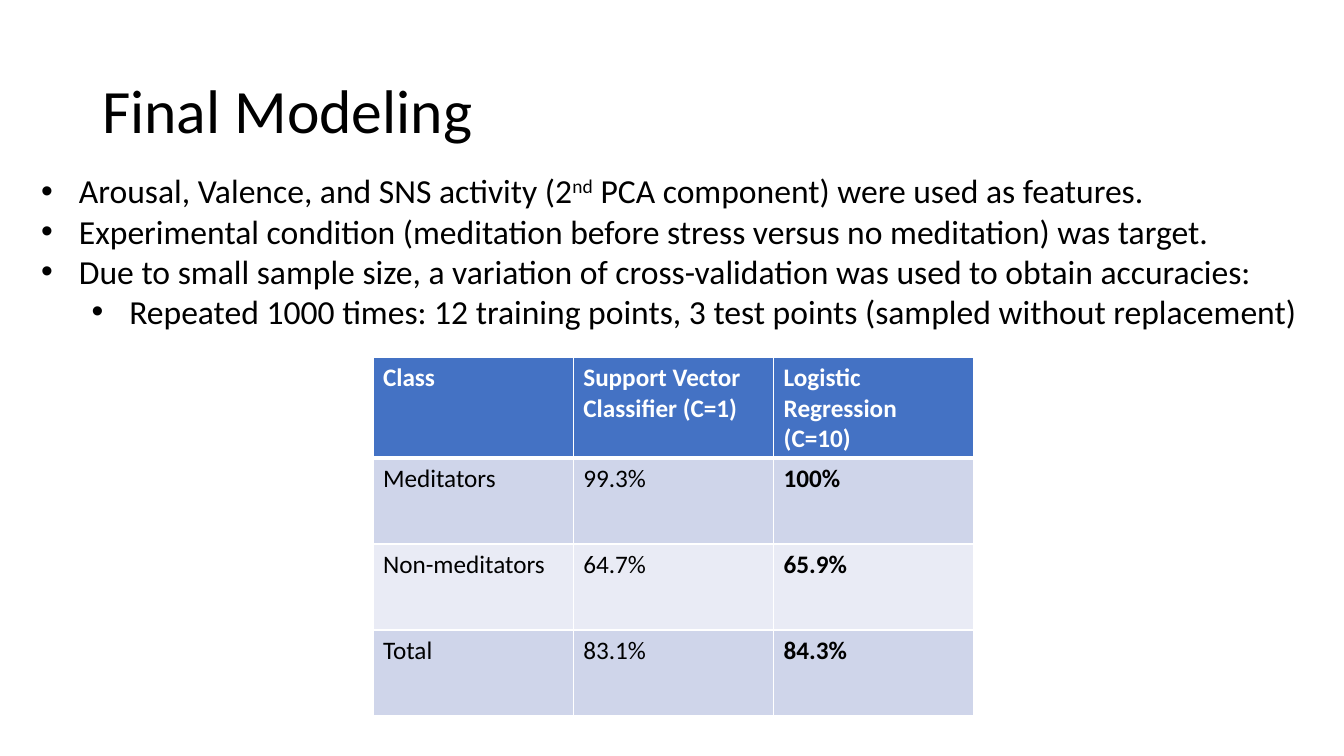
from lxml import etree
from pptx import Presentation
from pptx import util as u
from pptx.dml.color import RGBColor
from pptx.enum import text
from pptx.oxml.ns import qn

FONT = "Calibri"
COLORS = {
    "ink": "000000",
    "white": "FFFFFF",
    "header": "4472C4",
    "odd": "CFD5EA",
    "even": "E9EBF5",
}
BULLETS = [
    (0, [("Arousal, Valence, and SNS activity (2", False), ("nd", True),
         (" PCA component) were used as features.", False)]),
    (0, [("Experimental condition (meditation before stress versus no meditation) was target.", False)]),
    (0, [("Due to small sample size, a variation of cross-validation was used to obtain accuracies:", False)]),
    (1, [("Repeated 1000 times: 12 training points, 3 test points (sampled without replacement)", False)]),
]
ACCURACIES = [
    ("Class", "Support Vector Classifier (C=1)", "Logistic Regression (C=10)"),
    ("Meditators", "99.3%", "100%"),
    ("Non-meditators", "64.7%", "65.9%"),
    ("Total", "83.1%", "84.3%"),
]


def style(para, size, color, bold=False):
    """Set the font of a whole paragraph."""
    para.font.name = FONT
    para.font.size = u.Pt(size)
    para.font.bold = bold
    para.font.color.rgb = RGBColor.from_string(COLORS[color])


def add_frame(page, box):
    """Add a wrapping text box and return its text frame."""
    frame = page.shapes.add_textbox(*map(u.Pt, box)).text_frame
    frame.word_wrap = True
    return frame


def set_bullet(para, level):
    """Give a paragraph a hanging round bullet for its level."""
    para.level = level
    props = para._p.get_or_add_pPr()
    props.set("marL", str(u.Pt(27 + 36 * level)))
    props.set("indent", str(u.Pt(-27)))
    etree.SubElement(props, qn("a:buFont"), typeface="Arial")
    etree.SubElement(props, qn("a:buChar"), char="•")


def set_borders(cell, top, bottom):
    """Draw white borders around a cell, one point wide at the sides."""
    props = cell._tc.get_or_add_tcPr()
    for side, width in (("L", 1), ("R", 1), ("T", top), ("B", bottom)):
        line = etree.SubElement(props, qn(f"a:ln{side}"), w=str(u.Pt(width)))
        fill = etree.SubElement(line, qn("a:solidFill"))
        etree.SubElement(fill, qn("a:srgbClr"), val=COLORS["white"])


def add_title(page, box, title):
    """Place the slide title, centred vertically in its box."""
    frame = add_frame(page, box)
    frame.vertical_anchor = text.MSO_ANCHOR.MIDDLE
    para = frame.paragraphs[0]
    para.text = title
    para.line_spacing = 0.9
    style(para, 44, "ink")


def add_bullets(page, box, bullets):
    """Place the bulleted notes on the method."""
    frame = add_frame(page, box)
    for index, (level, spans) in enumerate(bullets):
        para = frame.add_paragraph() if index else frame.paragraphs[0]
        set_bullet(para, level)
        style(para, 24, "ink")
        for words, raised in spans:
            span = para.add_run()
            span.text = words
            if raised:
                span.font._element.set("baseline", "30000")


def add_accuracies(page, box, rows):
    """Place the accuracy table with a header row and banded body."""
    table = page.shapes.add_table(len(rows), len(rows[0]), *map(u.Pt, box)).table
    for row_index, row in enumerate(rows):
        header = row_index == 0
        band = "header" if header else "odd" if row_index % 2 else "even"
        for column_index, words in enumerate(row):
            cell = table.cell(row_index, column_index)
            set_borders(cell, 3 if row_index == 1 else 1, 3 if header else 1)
            cell.fill.solid()
            cell.fill.fore_color.rgb = RGBColor.from_string(COLORS[band])
            cell.text = words
            style(cell.text_frame.paragraphs[0], 18, "white" if header else "ink",
                  header or column_index == len(row) - 1)


def main():
    """Build the slide and save the deck."""
    deck = Presentation()
    deck.slide_width, deck.slide_height = u.Pt(960), u.Pt(540)
    page = deck.slides.add_slide(deck.slide_layouts[6])
    add_title(page, (66, 28.75, 828, 104.4), "Final Modeling")
    add_accuracies(page, (266.4, 255.2, 429.3, 245.6), ACCURACIES)
    add_bullets(page, (22.3, 118.1, 916.6, 123.8), BULLETS)
    deck.save("out.pptx")


if __name__ == "__main__":
    main()
